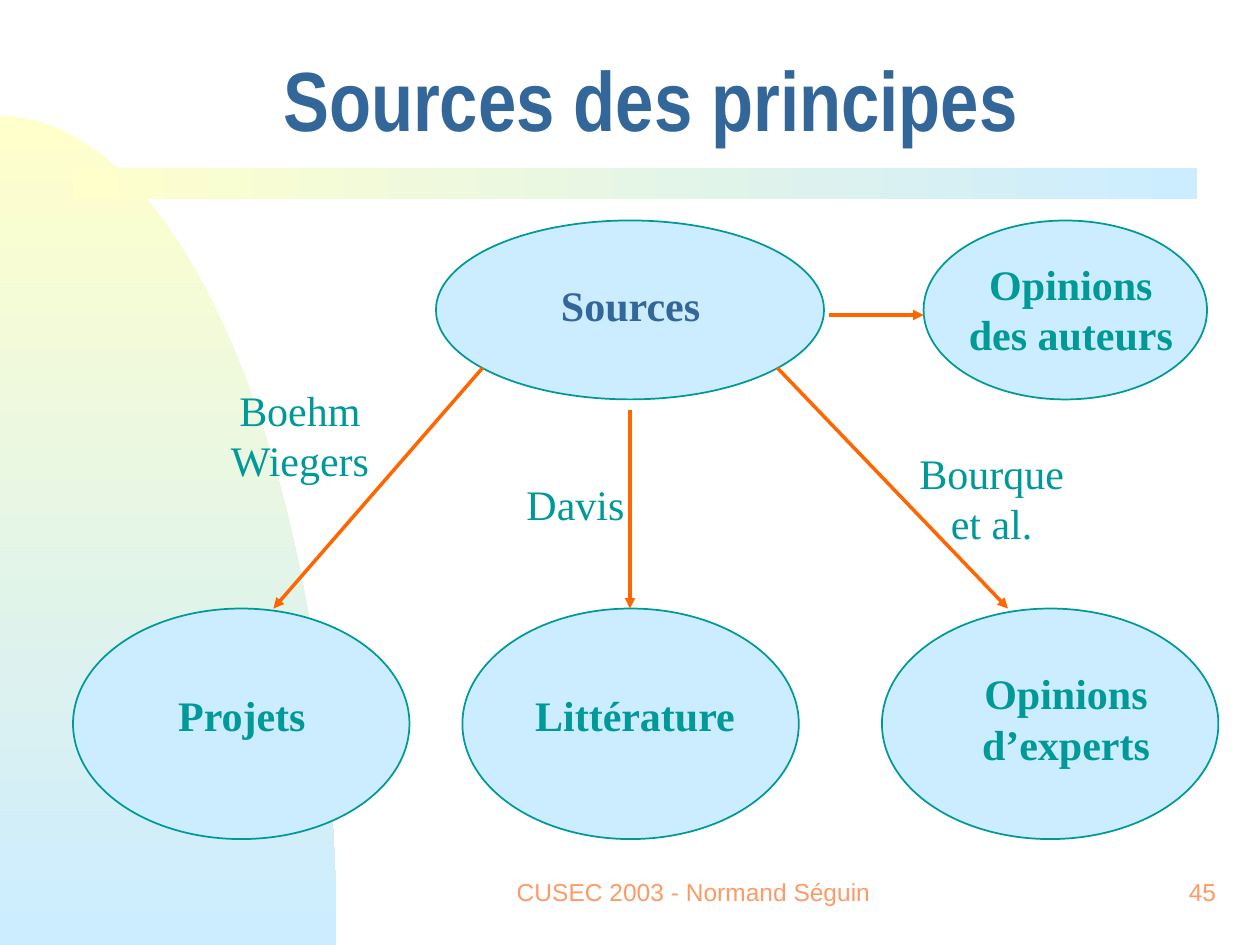
from math import cos, pi, sin

from lxml.etree import SubElement
from pptx import Presentation
from pptx.dml.color import RGBColor
from pptx.enum.shapes import MSO_CONNECTOR, MSO_SHAPE
from pptx.enum.text import MSO_ANCHOR, MSO_AUTO_SIZE, PP_ALIGN
from pptx.oxml.ns import qn
from pptx.util import Inches, Pt

CREAM = RGBColor(0xFF, 0xFF, 0xCC)
SKY = RGBColor(0xCC, 0xEC, 0xFF)
NAVY = RGBColor(0x33, 0x66, 0x99)
TEAL = RGBColor(0x00, 0x99, 0x99)
ORANGE = RGBColor(0xFF, 0x66, 0x00)
PEACH = RGBColor(0xFF, 0x99, 0x66)


class SlideBuilder:
    """Holds the current slide and the style of its elements."""

    body_font = "Times New Roman"
    body_size = 24

    def __init__(self, page):
        self.page = page

    def format_text(self, frame, text, font, size, color, bold, align, anchor):
        frame.word_wrap = True
        frame.auto_size = MSO_AUTO_SIZE.NONE
        frame.vertical_anchor = anchor
        para = frame.paragraphs[0]
        para.text = text
        para.alignment = align
        para.font.name = font
        para.font.size = Pt(size)
        para.font.bold = bold
        para.font.color.rgb = color
        return para

    def title(self, text, left, top, width, height):
        box = self.page.shapes.title
        box.left, box.top = Inches(left), Inches(top)
        box.width, box.height = Inches(width), Inches(height)
        para = self.format_text(box.text_frame, text, "Arial Narrow", 48, NAVY,
                                True, PP_ALIGN.CENTER, MSO_ANCHOR.MIDDLE)
        para.line_spacing = 0.7

    def text(self, text, left, top, width, height, color=TEAL, bold=False,
             align=PP_ALIGN.CENTER, font=body_font, size=body_size,
             anchor=MSO_ANCHOR.TOP):
        box = self.page.shapes.add_textbox(
            Inches(left), Inches(top), Inches(width), Inches(height))
        self.format_text(box.text_frame, text, font, size, color, bold,
                         align, anchor)

    def footer(self, text, left, width, align):
        self.text(text, left, 6.83, width, 0.5, PEACH, False, align,
                  "Arial", 14, MSO_ANCHOR.MIDDLE)

    def gradient(self, shape, angle):
        shape.shadow.inherit = False
        shape.line.fill.background()
        shape.fill.gradient()
        shape.fill.gradient_angle = angle
        for stop, color in zip(shape.fill.gradient_stops, (CREAM, SKY)):
            stop.color.rgb = color

    def quarter_ellipse(self, width, height, bottom, steps=90):
        angles = [pi / 2 * step / steps for step in range(steps + 1)]
        points = [(Inches(width * sin(angle)),
                   Inches(bottom - height * cos(angle))) for angle in angles]
        builder = self.page.shapes.build_freeform(*points[0])
        builder.add_line_segments(points[1:] + [(0, Inches(bottom))])
        self.gradient(builder.convert_to_shape(), 270)

    def bar(self, left, top, width, height):
        shape = self.page.shapes.add_shape(
            MSO_SHAPE.RECTANGLE, Inches(left), Inches(top),
            Inches(width), Inches(height))
        self.gradient(shape, 0)

    def ellipse(self, left, top, width, height):
        shape = self.page.shapes.add_shape(
            MSO_SHAPE.OVAL, Inches(left), Inches(top),
            Inches(width), Inches(height))
        shape.shadow.inherit = False
        shape.fill.solid()
        shape.fill.fore_color.rgb = SKY
        shape.line.color.rgb = TEAL
        shape.line.width = Pt(1)

    def arrow(self, start_x, start_y, end_x, end_y):
        line = self.page.shapes.add_connector(
            MSO_CONNECTOR.STRAIGHT, Inches(start_x), Inches(start_y),
            Inches(end_x), Inches(end_y))
        line.line.color.rgb = ORANGE
        line.line.width = Pt(2)
        SubElement(line.line._get_or_add_ln(), qn("a:tailEnd"), type="triangle")
        SubElement(line._element.spPr, qn("a:effectLst"))


def main():
    deck = Presentation()
    deck.slide_width, deck.slide_height = Inches(10), Inches(7.5)
    slide = SlideBuilder(deck.slides.add_slide(deck.slide_layouts[5]))

    # Background decoration and title
    slide.quarter_ellipse(2.67, 6.58, 7.5)
    slide.bar(0.58, 1.33, 8.92, 0.25)
    slide.title("Sources des principes", 1.83, 0.25, 6.67, 1.25)

    # Upper row: the root and the authors' opinions
    for left, width in ((3.46, 3.08), (7.33, 2.25)):
        slide.ellipse(left, 1.75, width, 1.42)
    slide.text("Sources", 4.13, 2.17, 1.75, 0.5, NAVY, bold=True)
    slide.text("Opinions des auteurs", 7.5, 2, 2, 0.9, bold=True)

    # Lower row: the three kinds of source
    for left in (0.58, 3.67, 7):
        slide.ellipse(left, 4.83, 2.67, 1.83)
    slide.text("Projets", 0.92, 5.42, 2, 0.5, bold=True)
    slide.text("Littérature", 4.08, 5.42, 1.92, 0.5, bold=True)
    slide.text("Opinions d’experts", 7.42, 5.25, 2.08, 0.9, bold=True)

    # Arrows from the root
    slide.arrow(3.83, 2.92, 2.17, 4.83)
    slide.arrow(5, 3.25, 5, 4.83)
    slide.arrow(6.17, 2.92, 8, 4.83)
    slide.arrow(6.58, 2.5, 7.33, 2.5)

    # Authors beside the arrows
    slide.text("Boehm\vWiegers", 1.67, 3, 1.42, 0.9)
    slide.text("Davis", 4.08, 3.75, 1.92, 0.5, align=PP_ALIGN.LEFT)
    slide.text("Bourque et al.", 7.08, 3.5, 1.58, 0.9)

    # Footer
    slide.footer("CUSEC 2003 - Normand Séguin", 3.92, 3.17, PP_ALIGN.CENTER)
    slide.footer("45", 7.67, 2.08, PP_ALIGN.RIGHT)

    deck.save("out.pptx")


if __name__ == "__main__":
    main()
